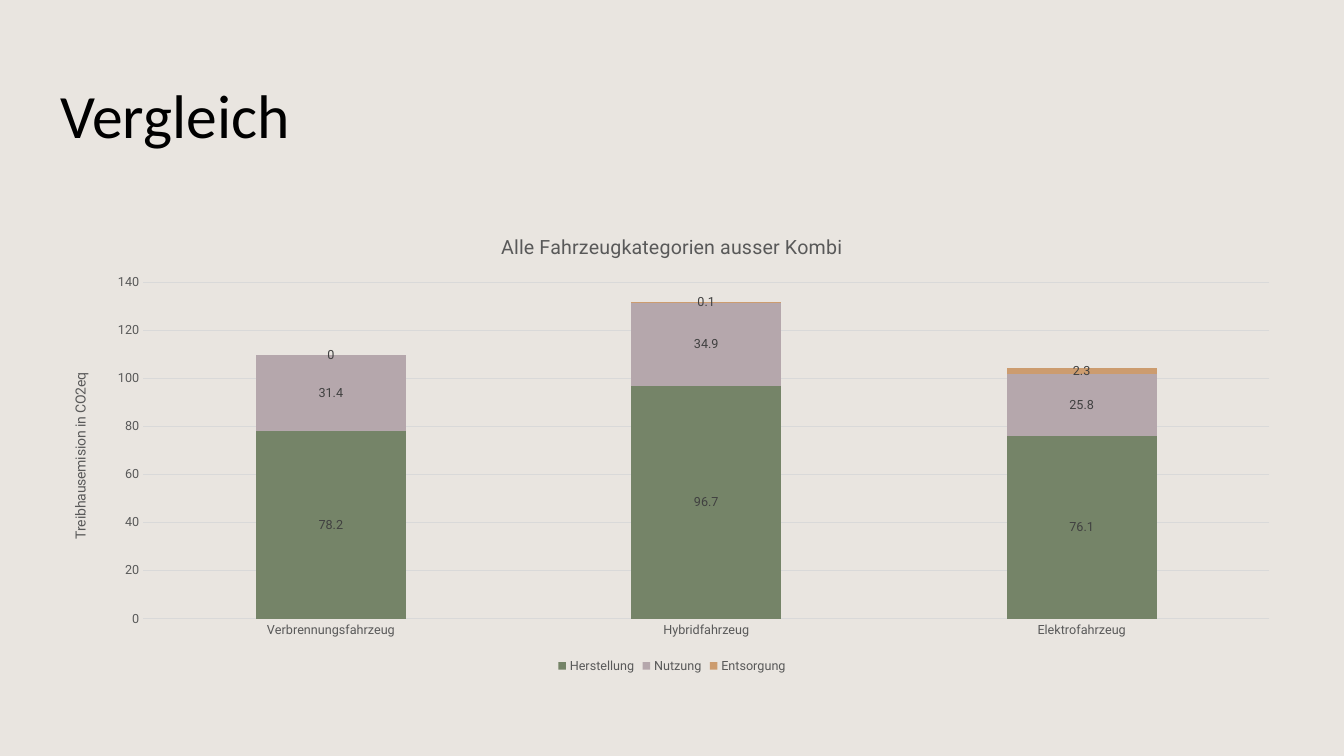
from dataclasses import dataclass

from lxml import etree
from pptx import Presentation
from pptx.chart.data import CategoryChartData
from pptx.dml.color import RGBColor
from pptx.enum.chart import XL_CHART_TYPE, XL_LEGEND_POSITION, XL_TICK_MARK
from pptx.enum.shapes import MSO_SHAPE
from pptx.enum.text import MSO_ANCHOR
from pptx.oxml.ns import qn
from pptx.util import Inches, Pt

STACKED = XL_CHART_TYPE.COLUMN_STACKED
BOTTOM = XL_LEGEND_POSITION.BOTTOM
NO_TICK = XL_TICK_MARK.NONE
RECT = MSO_SHAPE.RECTANGLE
MIDDLE = MSO_ANCHOR.MIDDLE

SAND = RGBColor(0xE0, 0xDA, 0xD4)
BLACK = RGBColor(0x00, 0x00, 0x00)
GREY = RGBColor(0x59, 0x59, 0x59)
DARK = RGBColor(0x40, 0x40, 0x40)
PALE = RGBColor(0xD9, 0xD9, 0xD9)
GREEN = RGBColor(0x75, 0x84, 0x68)
MAUVE = RGBColor(0xB5, 0xA7, 0xAC)
OCHRE = RGBColor(0xCC, 0x9C, 0x6F)


@dataclass
class Box:
    left: float
    top: float
    width: float
    height: float

    def place(self) -> list:
        return [Inches(n) for n in (self.left, self.top, self.width, self.height)]


@dataclass
class Phase:
    name: str
    values: tuple
    color: RGBColor


SLIDE = Box(0, 0, 13.33, 7.5)
TITLE = Box(0.5, 0.4, 11.92, 1.45)
CHART = Box(0.5, 2.13, 12.33, 4.59)
PLOT = Box(1.42, 2.8, 11.17, 3.34)

CARS = ("Verbrennungsfahrzeug", "Hybridfahrzeug", "Elektrofahrzeug")
PHASES = (
    Phase("Herstellung", (78.2, 96.7, 76.1), GREEN),
    Phase("Nutzung", (31.4, 34.9, 25.8), MAUVE),
    Phase("Entsorgung", (0, 0.1, 2.3), OCHRE),
)


def set_font(font, size: float, color: RGBColor, name: str = "Roboto") -> None:
    font.size = Pt(size)
    font.name = name
    font.bold = False
    font.color.rgb = color


def add_run(frame, text: str, size: float, color: RGBColor, name: str = "Roboto") -> None:
    run = frame.paragraphs[0].add_run()
    run.text = text
    set_font(run.font, size, color, name)


def set_line(line, color: RGBColor) -> None:
    line.color.rgb = color
    line.width = Pt(0.75)


def add_back(slide) -> None:
    back = slide.shapes.add_shape(RECT, *SLIDE.place())
    back.shadow.inherit = False
    back.fill.solid()
    back.fill.fore_color.rgb = SAND
    back.line.fill.background()
    tint = back.fill._xPr.find(".//" + qn("a:srgbClr"))
    etree.SubElement(tint, qn("a:alpha"), val="70000")


def add_title(slide) -> None:
    frame = slide.shapes.add_textbox(*TITLE.place()).text_frame
    frame.word_wrap = True
    frame.vertical_anchor = MIDDLE
    add_run(frame, "Vergleich", 44, BLACK, "Calibri")


def place_plot(chart) -> None:
    """Fix the inner plot area as fractions of the chart."""
    area = chart._chartSpace.chart.plotArea
    layout = area.find(qn("c:layout"))
    if layout is None:
        layout = etree.Element(qn("c:layout"))
        area.insert(0, layout)
    manual = etree.SubElement(layout, qn("c:manualLayout"))
    parts = {
        "layoutTarget": "inner",
        "xMode": "edge",
        "yMode": "edge",
        "x": (PLOT.left - CHART.left) / CHART.width,
        "y": (PLOT.top - CHART.top) / CHART.height,
        "w": PLOT.width / CHART.width,
        "h": PLOT.height / CHART.height,
    }
    for tag, value in parts.items():
        etree.SubElement(manual, qn("c:" + tag), val=str(value))


def style_axes(chart) -> None:
    cat, val = chart.category_axis, chart.value_axis
    for axis in (cat, val):
        axis.major_tick_mark = axis.minor_tick_mark = NO_TICK
        set_font(axis.tick_labels.font, 9, GREY)
    set_line(cat.format.line, PALE)
    val.format.line.fill.background()
    val.minimum_scale, val.maximum_scale, val.major_unit = 0, 140, 20
    set_line(val.major_gridlines.format.line, PALE)
    add_run(val.axis_title.text_frame, "Treibhausemision in CO2eq", 10, GREY)


def style_bars(plot) -> None:
    plot.gap_width, plot.overlap = 150, 100
    plot.vary_by_categories = False
    for bars, phase in zip(plot.series, PHASES):
        bars.format.fill.solid()
        bars.format.fill.fore_color.rgb = phase.color
        labels = bars.data_labels
        labels.show_value = True
        set_font(labels.font, 9, DARK)


def add_chart(slide) -> None:
    data = CategoryChartData()
    data.categories = CARS
    for phase in PHASES:
        data.add_series(phase.name, phase.values)
    chart = slide.shapes.add_chart(STACKED, *CHART.place(), data).chart
    set_font(chart.font, 10, BLACK)
    add_run(chart.chart_title.text_frame, "Alle Fahrzeugkategorien ausser Kombi", 14, GREY)
    chart.has_legend = True
    chart.legend.position = BOTTOM
    chart.legend.include_in_layout = False
    set_font(chart.legend.font, 9, GREY)
    style_axes(chart)
    style_bars(chart.plots[0])
    place_plot(chart)


def main() -> None:
    deck = Presentation()
    deck.slide_width, deck.slide_height = Inches(SLIDE.width), Inches(SLIDE.height)
    slide = deck.slides.add_slide(deck.slide_layouts[6])
    add_back(slide)
    add_title(slide)
    add_chart(slide)
    deck.save("out.pptx")


if __name__ == "__main__":
    main()
